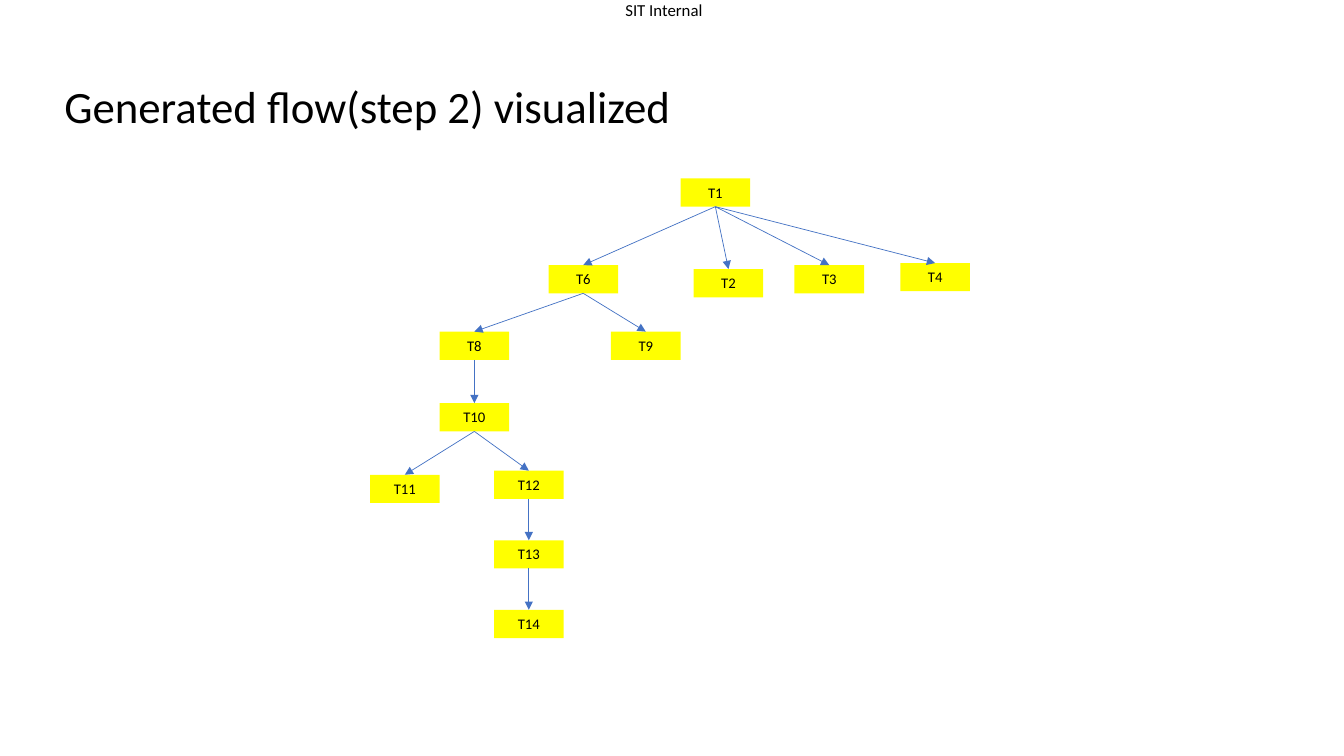
from pptx import Presentation
from pptx.dml.color import RGBColor
from pptx.enum.shapes import MSO_CONNECTOR, MSO_SHAPE
from pptx.enum.text import MSO_ANCHOR, MSO_AUTO_SIZE as AUTO_SIZE, PP_ALIGN
from pptx.oxml.ns import qn
from pptx.util import Emu, Pt
from lxml.etree import SubElement

PX = 9144  # EMU per px, 100 px to the inch
COLORS = {"node": "FFFF00", "arrow": "4472C4", "text": "000000"}
FONT = "Calibri"
NODE_WIDTH, NODE_HEIGHT = 69, 28
BOTTOM, TOP = 2, 0


def px(*lengths):
    return [Emu(length * PX) for length in lengths]


def write(box, text, size, align):
    """Put one line of text into a box that grows to fit it."""
    frame = box.text_frame
    frame.auto_size = AUTO_SIZE.SHAPE_TO_FIT_TEXT
    para = frame.paragraphs[0]
    para.alignment = align
    span = para.add_run()
    span.text = text
    span.font.size = Pt(size)
    span.font.name = FONT
    span.font.color.rgb = RGBColor.from_string(COLORS["text"])


deck = Presentation()
deck.slide_width, deck.slide_height = px(1333, 750)
page = deck.slides.add_slide(deck.slide_layouts[6])

# Classification label
label = page.shapes.add_textbox(*px(618, 0, 81, 20))
frame = label.text_frame
frame.margin_left = frame.margin_top = frame.margin_right = frame.margin_bottom = 0
frame.word_wrap = True
write(label, "SIT Internal", 12, PP_ALIGN.CENTER)

# Title
title = page.shapes.add_textbox(*px(54, 73, 628, 64))
title.text_frame.word_wrap = False
write(title, "Generated flow(step 2) visualized", 32, PP_ALIGN.LEFT)

# Task nodes: left, top
positions = {
    "T1": (675, 177),
    "T2": (688, 267),
    "T3": (788, 263),
    "T4": (893, 261),
    "T6": (544, 263),
    "T8": (436, 329),
    "T9": (606, 329),
    "T10": (436, 400),
    "T11": (367, 471),
    "T12": (490, 467),
    "T13": (490, 536),
    "T14": (490, 605),
}
nodes = {}
for name, (left, top) in positions.items():
    node = page.shapes.add_shape(MSO_SHAPE.RECTANGLE, *px(left, top, NODE_WIDTH, NODE_HEIGHT))
    node.shadow.inherit = False
    node.fill.solid()
    node.fill.fore_color.rgb = RGBColor.from_string(COLORS["node"])
    node.line.fill.background()
    node.text_frame.word_wrap = True
    node.text_frame.vertical_anchor = MSO_ANCHOR.TOP
    write(node, name, 10.5, PP_ALIGN.CENTER)
    nodes[name] = node

# Arrows from each task to the tasks that follow it
followers = {
    "T1": ["T2", "T3", "T4", "T6"],
    "T6": ["T8", "T9"],
    "T8": ["T10"],
    "T10": ["T11", "T12"],
    "T12": ["T13"],
    "T13": ["T14"],
}
for parent, children in followers.items():
    for child in children:
        arrow = page.shapes.add_connector(MSO_CONNECTOR.STRAIGHT, 0, 0, 0, 0)
        arrow.begin_connect(nodes[parent], BOTTOM)
        arrow.end_connect(nodes[child], TOP)
        arrow.line.width = Pt(0.5)
        arrow.line.color.rgb = RGBColor.from_string(COLORS["arrow"])
        SubElement(arrow.line._get_or_add_ln(), qn("a:tailEnd"), type="triangle")
        SubElement(arrow._element.spPr, qn("a:effectLst"))

deck.save("out.pptx")
